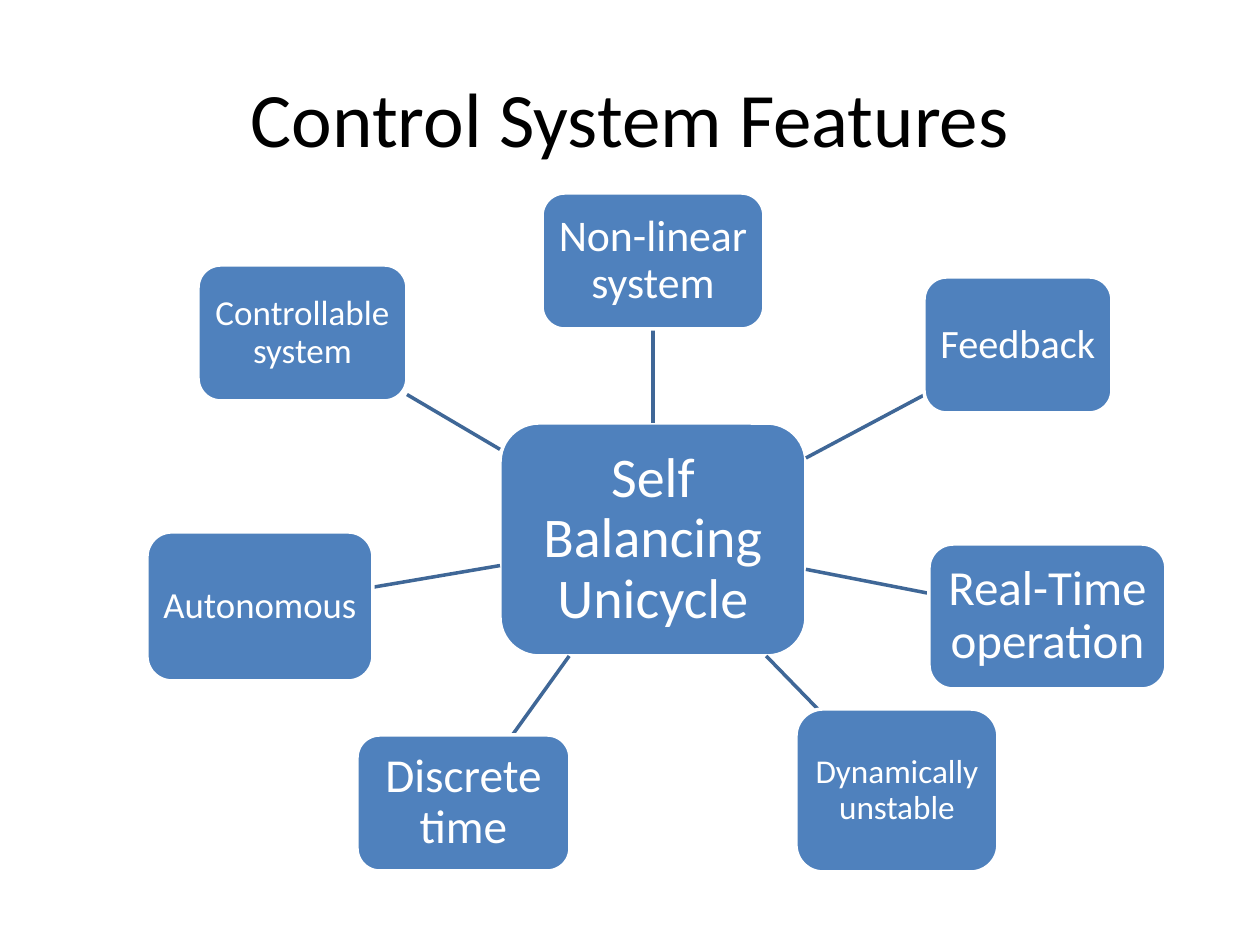
from lxml.etree import SubElement
from pptx import Presentation
from pptx.dml.color import RGBColor
from pptx.enum.shapes import MSO_CONNECTOR, MSO_SHAPE
from pptx.enum.text import MSO_ANCHOR, PP_ALIGN
from pptx.oxml.ns import qn
from pptx.util import Pt

PIXELS_PER_INCH = 126
EMU_PER_PIXEL = 914400 / PIXELS_PER_INCH
BLACK = RGBColor(0x00, 0x00, 0x00)
WHITE = RGBColor(0xFF, 0xFF, 0xFF)
BOX_BLUE = RGBColor(0x4F, 0x81, 0xBD)
LINE_BLUE = RGBColor(0x3F, 0x67, 0x97)
TOP, BOTTOM = 0, 2

TITLE_BOX = (63, 38, 1134, 158)
HUB = ("Self Balancing Unicycle", 32, (500, 423, 306, 233))
FEATURES = [
    ("Non-linear system", 25, (542, 193, 222, 136)),
    ("Feedback", 23, (924, 277, 188, 136)),
    ("Real-Time operation", 28, (929, 544, 237, 145)),
    ("Dynamically unstable", 19, (796, 709, 202, 163)),
    ("Discrete time", 27, (357, 735, 213, 136)),
    ("Autonomous", 21, (147, 532, 226, 149)),
    ("Controllable system", 20, (198, 265, 209, 136)),
]


def px(value):
    return round(value * EMU_PER_PIXEL)


def set_attributes(target, values):
    for name, value in values.items():
        setattr(target, name, value)


def write_text(shape, text, size, color, frame_format, paragraph_format):
    frame = shape.text_frame
    set_attributes(frame, {"word_wrap": True,
                           "vertical_anchor": MSO_ANCHOR.MIDDLE, **frame_format})
    paragraph = frame.paragraphs[0]
    set_attributes(paragraph, {"alignment": PP_ALIGN.CENTER, **paragraph_format})
    run = paragraph.add_run()
    run.text = text
    set_attributes(run.font, {"name": "Calibri", "size": Pt(size)})
    run.font.color.rgb = color


def add_title(slide, text):
    shape = slide.shapes.add_textbox(*map(px, TITLE_BOX))
    write_text(shape, text, 44, BLACK, {}, {})


def add_box(slide, text, size, bounds):
    shape = slide.shapes.add_shape(MSO_SHAPE.ROUNDED_RECTANGLE, *map(px, bounds))
    shape.shadow.inherit = False
    shape.fill.solid()
    shape.fill.fore_color.rgb = BOX_BLUE
    shape.line.color.rgb = WHITE
    shape.line.width = Pt(2)
    inset = Pt(size * 0.2)
    sides = ("left", "top", "right", "bottom")
    write_text(shape, text, size, WHITE,
               {f"margin_{side}": inset for side in sides}, {"line_spacing": 0.9})
    return shape


def center(bounds):
    left, top, width, height = bounds
    return left + width / 2, top + height / 2


def edge_point(bounds, target):
    x, y = center(bounds)
    dx, dy = target[0] - x, target[1] - y
    reach = min(side / 2 / abs(delta)
                for side, delta in zip(bounds[2:], (dx, dy)) if delta)
    return x + dx * reach, y + dy * reach


def add_spoke(slide, hub_bounds, feature_bounds):
    start = edge_point(hub_bounds, center(feature_bounds))
    end = edge_point(feature_bounds, center(hub_bounds))
    connector = slide.shapes.add_connector(
        MSO_CONNECTOR.STRAIGHT, *map(px, (*start, *end)))
    connector.line.color.rgb = LINE_BLUE
    connector.line.width = Pt(2)
    SubElement(connector._element.spPr, qn("a:effectLst"))
    return connector


def main():
    presentation = Presentation()
    set_attributes(presentation, {"slide_width": px(1260), "slide_height": px(945)})
    slide = presentation.slides.add_slide(presentation.slide_layouts[6])
    add_title(slide, "Control System Features")
    hub_bounds = HUB[2]
    hub = add_box(slide, *HUB)
    for text, size, bounds in FEATURES:
        spoke = add_spoke(slide, hub_bounds, bounds)
        box = add_box(slide, text, size, bounds)
        if center(bounds)[0] == center(hub_bounds)[0]:
            spoke.begin_connect(hub, TOP)
            spoke.end_connect(box, BOTTOM)
    presentation.save("out.pptx")


if __name__ == "__main__":
    main()
